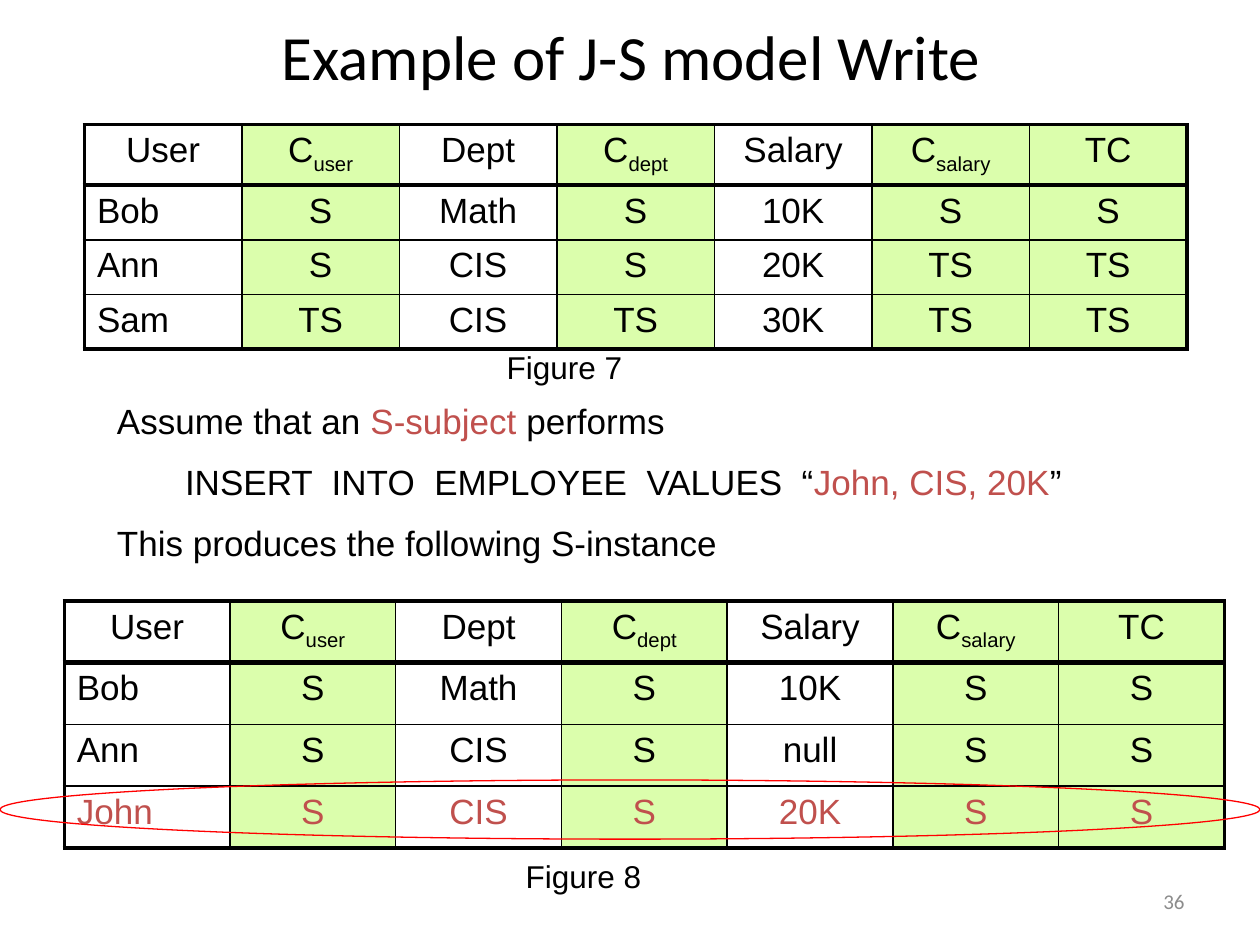
from dataclasses import dataclass

from lxml import etree
from pptx import Presentation
from pptx.dml.color import RGBColor
from pptx.enum.shapes import MSO_SHAPE
from pptx.enum.text import MSO_ANCHOR, PP_ALIGN
from pptx.oxml.ns import qn
from pptx.util import Inches, Pt

LEFT, CENTER, RIGHT = PP_ALIGN.LEFT, PP_ALIGN.CENTER, PP_ALIGN.RIGHT
TOP, MIDDLE = MSO_ANCHOR.TOP, MSO_ANCHOR.MIDDLE
ELLIPSE = MSO_SHAPE.OVAL


@dataclass(frozen=True)
class Theme:
    heading_font: str = "Calibri"
    body_font: str = "Arial"
    title_size: int = 36
    body_size: int = 20
    caption_size: int = 18
    number_size: int = 12
    ink: str = "000000"
    accent: str = "C0504D"
    muted: str = "8C8C8C"
    label_fill: str = "DBFEAC"
    ring: str = "FF0000"
    ring_width: float = 0.75
    thin: float = 1
    outer: float = 2.25
    header_rule: float = 3
    statement_gap: int = 11


THEME = Theme()

TITLE = "Example of J-S model Write"
SLIDE_NUMBER = "36"
HEADER = [("User", ""), ("C", "user"), ("Dept", ""), ("C", "dept"),
          ("Salary", ""), ("C", "salary"), ("TC", "")]
LABEL_COLUMNS = {1, 3, 5, 6}

BEFORE_WRITE = {
    "box": (0.67, 0.99, 8.75, 1.73),
    "rows": [
        ["Bob", "S", "Math", "S", "10K", "S", "S"],
        ["Ann", "S", "CIS", "S", "20K", "TS", "TS"],
        ["Sam", "TS", "CIS", "TS", "30K", "TS", "TS"],
    ],
    "inserted": None,
}
AFTER_WRITE = {
    "box": (0.51, 4.77, 9.21, 1.96),
    "rows": [
        ["Bob", "S", "Math", "S", "10K", "S", "S"],
        ["Ann", "S", "CIS", "S", "null", "S", "S"],
        ["John", "S", "CIS", "S", "20K", "S", "S"],
    ],
    "inserted": "John",
}

STATEMENTS = [
    (0, [("Assume that an ", THEME.ink), ("S-subject ", THEME.accent),
         ("performs", THEME.ink)]),
    (0.54, [("INSERT  INTO  EMPLOYEE  VALUES  “", THEME.ink),
            ("John, CIS, 20K", THEME.accent), ("”", THEME.ink)]),
    (0, [("This produces the following S-instance", THEME.ink)]),
]


def set_font(font, name, size, color):
    font.name = name
    font.size = Pt(size)
    font.color.rgb = RGBColor.from_string(color)


def add_text_frame(slide, box, anchor=TOP):
    frame = slide.shapes.add_textbox(*map(Inches, box)).text_frame
    frame.word_wrap = True
    frame.vertical_anchor = anchor
    return frame


def add_line(slide, box, text, font, size, color, align=CENTER, anchor=TOP):
    paragraph = add_text_frame(slide, box, anchor).paragraphs[0]
    paragraph.text = text
    paragraph.alignment = align
    set_font(paragraph.font, font, size, color)


def set_borders(cell, widths):
    properties = cell._tc.get_or_add_tcPr()
    for position, (side, width) in enumerate(zip("LRTB", widths)):
        line = etree.Element(qn(f"a:ln{side}"), w=str(Pt(width)))
        fill = etree.SubElement(line, qn("a:solidFill"))
        etree.SubElement(fill, qn("a:srgbClr"), val=THEME.ink)
        properties.insert(position, line)


def border_widths(row, column, last_row, last_column):
    return (
        THEME.outer if column == 0 else THEME.thin,
        THEME.outer if column == last_column else THEME.thin,
        {0: THEME.outer, 1: THEME.header_rule}.get(row, THEME.thin),
        {0: THEME.header_rule, last_row: THEME.outer}.get(row, THEME.thin),
    )


def add_relation(slide, relation):
    rows = [HEADER] + [[(value, "") for value in row] for row in relation["rows"]]
    left, top, width, height = map(Inches, relation["box"])
    table = slide.shapes.add_table(len(rows), len(HEADER), left, top, width, height).table
    for row_index, row in enumerate(rows):
        color = THEME.accent if row[0][0] == relation["inserted"] else THEME.ink
        for column_index, (value, subscript) in enumerate(row):
            cell = table.cell(row_index, column_index)
            if column_index in LABEL_COLUMNS:
                cell.fill.solid()
                cell.fill.fore_color.rgb = RGBColor.from_string(THEME.label_fill)
            else:
                cell.fill.background()
            set_borders(cell, border_widths(row_index, column_index,
                                            len(rows) - 1, len(HEADER) - 1))
            paragraph = cell.text_frame.paragraphs[0]
            paragraph.alignment = LEFT if row_index and column_index == 0 else CENTER
            set_font(paragraph.font, THEME.body_font, THEME.body_size, color)
            paragraph.add_run().text = value
            if subscript:
                run = paragraph.add_run()
                run.text = subscript
                run._r.get_or_add_rPr().set("baseline", "-25000")


def add_statements(slide, box):
    frame = add_text_frame(slide, box)
    for index, (indent, parts) in enumerate(STATEMENTS):
        paragraph = frame.add_paragraph() if index else frame.paragraphs[0]
        paragraph.font.name = THEME.body_font
        paragraph.font.size = Pt(THEME.body_size)
        if index:
            paragraph.space_before = Pt(THEME.statement_gap)
        if indent:
            paragraph._p.get_or_add_pPr().set("marL", str(Inches(indent)))
        for text, color in parts:
            run = paragraph.add_run()
            run.text = text
            run.font.color.rgb = RGBColor.from_string(color)


def add_ring(slide, box):
    ring = slide.shapes.add_shape(ELLIPSE, *map(Inches, box))
    ring.shadow.inherit = False
    ring.fill.background()
    ring.line.color.rgb = RGBColor.from_string(THEME.ring)
    ring.line.width = Pt(THEME.ring_width)


def main():
    presentation = Presentation()
    presentation.slide_width, presentation.slide_height = Inches(10), Inches(7.5)
    slide = presentation.slides.add_slide(presentation.slide_layouts[6])

    add_line(slide, (0.51, 0.13, 9, 0.61), TITLE, THEME.heading_font,
             THEME.title_size, THEME.ink, anchor=MIDDLE)
    add_relation(slide, AFTER_WRITE)
    add_statements(slide, (0.83, 3.12, 7.85, 1.43))
    add_line(slide, (3.42, 6.75, 2.42, 0.4), "Figure 8", THEME.body_font,
             THEME.caption_size, THEME.ink)
    add_relation(slide, BEFORE_WRITE)
    add_ring(slide, (0, 6.19, 10, 0.47))
    add_line(slide, (3.27, 2.71, 2.42, 0.4), "Figure 7", THEME.body_font,
             THEME.caption_size, THEME.ink)
    add_line(slide, (7.17, 6.95, 2.33, 0.4), SLIDE_NUMBER, THEME.heading_font,
             THEME.number_size, THEME.muted, RIGHT, MIDDLE)

    presentation.save("out.pptx")


if __name__ == "__main__":
    main()
